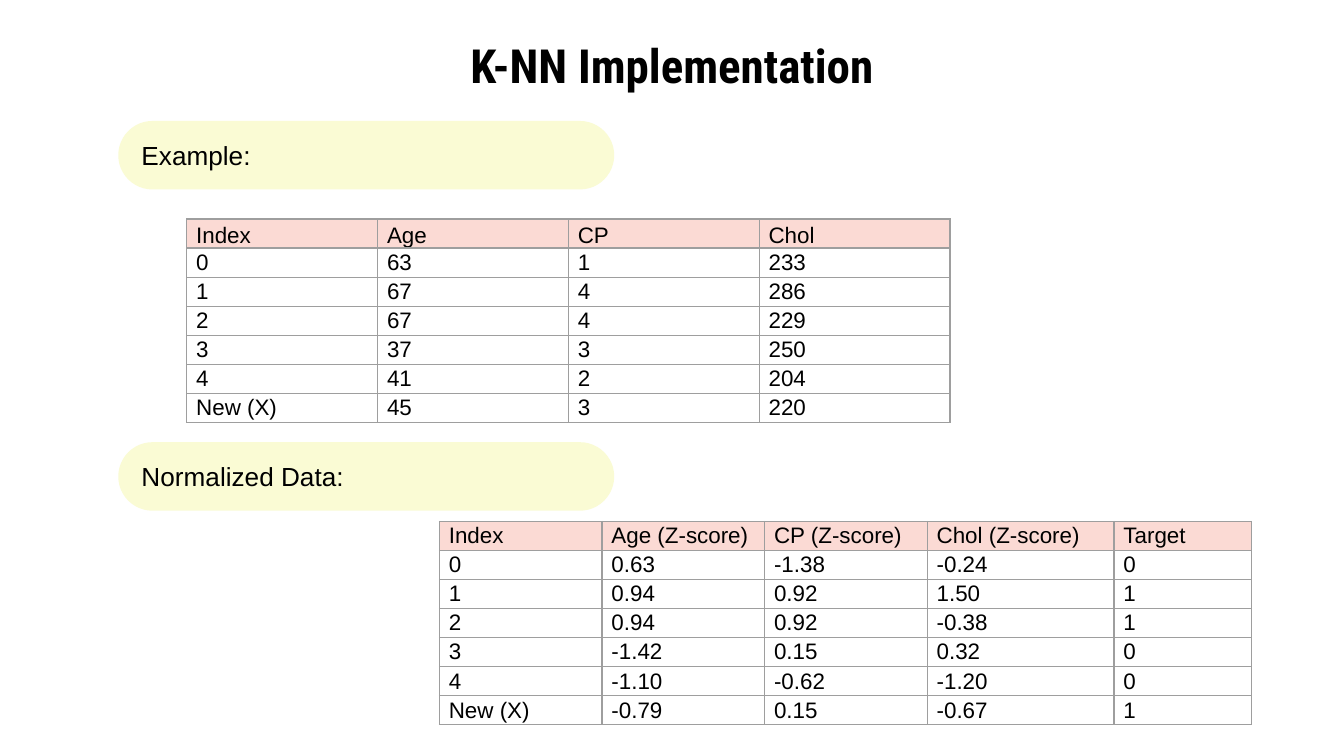
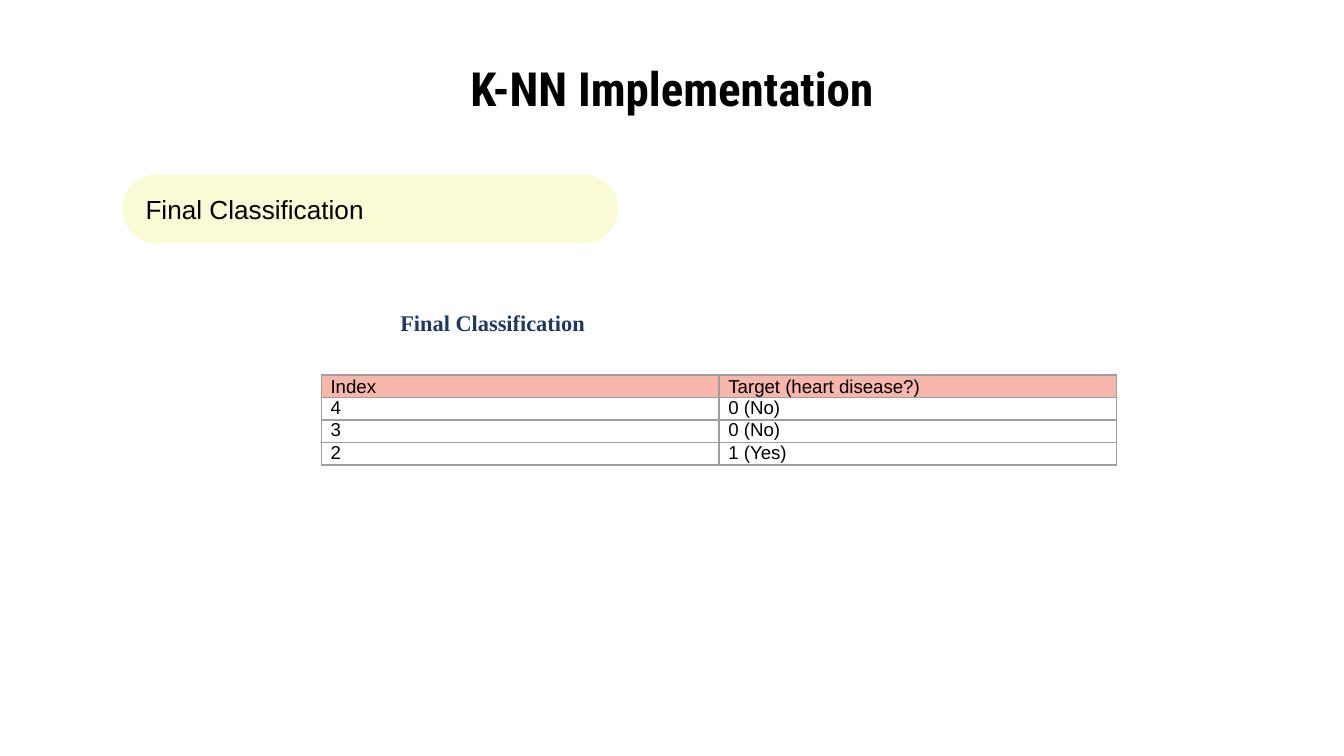
from dataclasses import dataclass

from lxml import etree
from pptx import Presentation
from pptx import util as u
from pptx.dml.color import RGBColor
from pptx.enum import shapes, text
from pptx.oxml import ns


@dataclass(frozen=True)
class Theme:
    ink: str = "000000"
    paper: str = "FFFFFF"
    label: str = "FAFBD4"
    header: str = "FBDAD4"
    header_strong: str = "F7B6A9"
    grid: str = "9E9E9E"
    caption: str = "1F3763"
    title_font: str = "Roboto Condensed"
    body_font: str = "Arial"
    caption_font: str = "Times New Roman"
    title_size: float = 25.2
    label_size: float = 14
    data_size: float = 12
    small_size: float = 10
    grid_width: float = 0.75


THEME = Theme()
TITLE = "K-NN Implementation"

PATIENTS = [
    ["Index", "Age", "CP", "Chol"],
    ["0", "63", "1", "233"],
    ["1", "67", "4", "286"],
    ["2", "67", "4", "229"],
    ["3", "37", "3", "250"],
    ["4", "41", "2", "204"],
    ["New (X)", "45", "3", "220"],
]
Z_SCORES = [
    ["Index", "Age (Z-score)", "CP (Z-score)", "Chol (Z-score)", "Target"],
    ["0", "0.63", "-1.38", "-0.24", "0"],
    ["1", "0.94", "0.92", "1.50", "1"],
    ["2", "0.94", "0.92", "-0.38", "1"],
    ["3", "-1.42", "0.15", "0.32", "0"],
    ["4", "-1.10", "-0.62", "-1.20", "0"],
    ["New (X)", "-0.79", "0.15", "-0.67", "1"],
]
NEIGHBOURS = [
    ["Index", "Target (heart disease?)"],
    ["4", "0 (No)"],
    ["3", "0 (No)"],
    ["2", "1 (Yes)"],
]


def apply(target, formats):
    for attribute, value in formats.items():
        setattr(target, attribute, value)


def inches(*lengths):
    return [u.Inches(length) for length in lengths]


def margins(side, vertical):
    return {"margin_left": u.Inches(side), "margin_right": u.Inches(side),
            "margin_top": u.Inches(vertical), "margin_bottom": u.Inches(vertical)}


def write(frame, words, size, font=THEME.body_font, color=THEME.ink, bold=False,
          **paragraph_formats):
    line = frame.paragraphs[0]
    run = line.add_run()
    run.text = words
    apply(line, {"alignment": text.PP_ALIGN.LEFT, **paragraph_formats})
    apply(run.font, {"name": font, "size": u.Pt(size), "bold": bold})
    run.font.color.rgb = RGBColor.from_string(color)


# Slide title, centred across the page
def add_title(slide, top):
    frame = slide.shapes.add_textbox(*inches(0.5, top, 9, 0.41)).text_frame
    apply(frame, {"word_wrap": True, "vertical_anchor": text.MSO_ANCHOR.MIDDLE,
                  **margins(0.1, 0.1)})
    write(frame, TITLE, THEME.title_size, THEME.title_font, bold=True,
          alignment=text.PP_ALIGN.CENTER)


# Rounded section label
def add_label(slide, left, top, words):
    pill = slide.shapes.add_shape(shapes.MSO_SHAPE.ROUNDED_RECTANGLE,
                                  *inches(left, top, 3.69, 0.51))
    pill.adjustments[0] = 0.5
    pill.shadow.inherit = False
    pill.fill.solid()
    pill.fill.fore_color.rgb = RGBColor.from_string(THEME.label)
    pill.line.fill.background()
    apply(pill.text_frame, {"word_wrap": True, "vertical_anchor": text.MSO_ANCHOR.MIDDLE,
                            **margins(0.1, 0.1)})
    write(pill.text_frame, words, THEME.label_size)


# Caption above the result table
def add_caption(slide, left, top, words):
    frame = slide.shapes.add_textbox(*inches(left, top, 4.62, 0.53)).text_frame
    frame.word_wrap = True
    write(frame, words, THEME.data_size, THEME.caption_font, THEME.caption, bold=True)


def add_borders(cell):
    properties = cell._tc.get_or_add_tcPr()
    for side in ("a:lnL", "a:lnR", "a:lnT", "a:lnB"):
        edge = etree.SubElement(properties, ns.qn(side), w=str(u.Pt(THEME.grid_width)))
        fill = etree.SubElement(edge, ns.qn("a:solidFill"))
        etree.SubElement(fill, ns.qn("a:srgbClr"), val=THEME.grid)


# Data table with a tinted header row
def add_data(slide, left, top, widths, row_height, records, size=THEME.data_size,
             header=THEME.header, header_anchor=text.MSO_ANCHOR.BOTTOM, spacing=1.08):
    data = slide.shapes.add_table(
        len(records), len(widths),
        *inches(left, top, sum(widths), row_height * len(records))).table
    apply(data, {"first_row": False, "horz_banding": False})
    for column, width in zip(data.columns, widths):
        column.width = u.Inches(width)
    for r, record in enumerate(records):
        data.rows[r].height = u.Inches(row_height)
        for c, value in enumerate(record):
            cell = data.cell(r, c)
            anchor = text.MSO_ANCHOR.TOP if r else header_anchor
            apply(cell, {"vertical_anchor": anchor, **margins(0.07, 0)})
            add_borders(cell)
            if r:
                cell.fill.background()
            else:
                cell.fill.solid()
                cell.fill.fore_color.rgb = RGBColor.from_string(header)
            write(cell.text_frame, value, size, line_spacing=spacing)


def new_slide(deck):
    slide = deck.slides.add_slide(deck.slide_layouts[6])
    slide.background.fill.solid()
    slide.background.fill.fore_color.rgb = RGBColor.from_string(THEME.paper)
    return slide


# Slide 1: raw and normalized patients
def build_example(deck):
    slide = new_slide(deck)
    add_title(slide, 0.28)
    add_label(slide, 0.88, 0.9, "Example:")
    add_data(slide, 1.39, 1.63, [1.42] * 4, 0.21, PATIENTS)
    add_data(slide, 3.27, 3.88, [1.21] * 3 + [1.39, 1.02], 0.21, Z_SCORES,
             header_anchor=text.MSO_ANCHOR.TOP)
    add_label(slide, 0.88, 3.29, "Normalized Data:")


# Slide 2: nearest neighbours and their class
def build_classification(deck):
    slide = new_slide(deck)
    add_title(slide, 0.45)
    add_label(slide, 0.91, 1.3, "Final Classification")
    add_caption(slide, 2.88, 2.25, "Final Classification")
    add_data(slide, 2.39, 2.79, [2.96] * 2, 0.16, NEIGHBOURS,
             size=THEME.small_size, header=THEME.header_strong, spacing=1.0)


def main():
    deck = Presentation()
    # Widescreen page, 16:9
    page_width = u.Inches(10)
    apply(deck, {"slide_width": page_width, "slide_height": page_width * 9 // 16})
    build_example(deck)
    build_classification(deck)
    deck.save("out.pptx")


if __name__ == "__main__":
    main()
